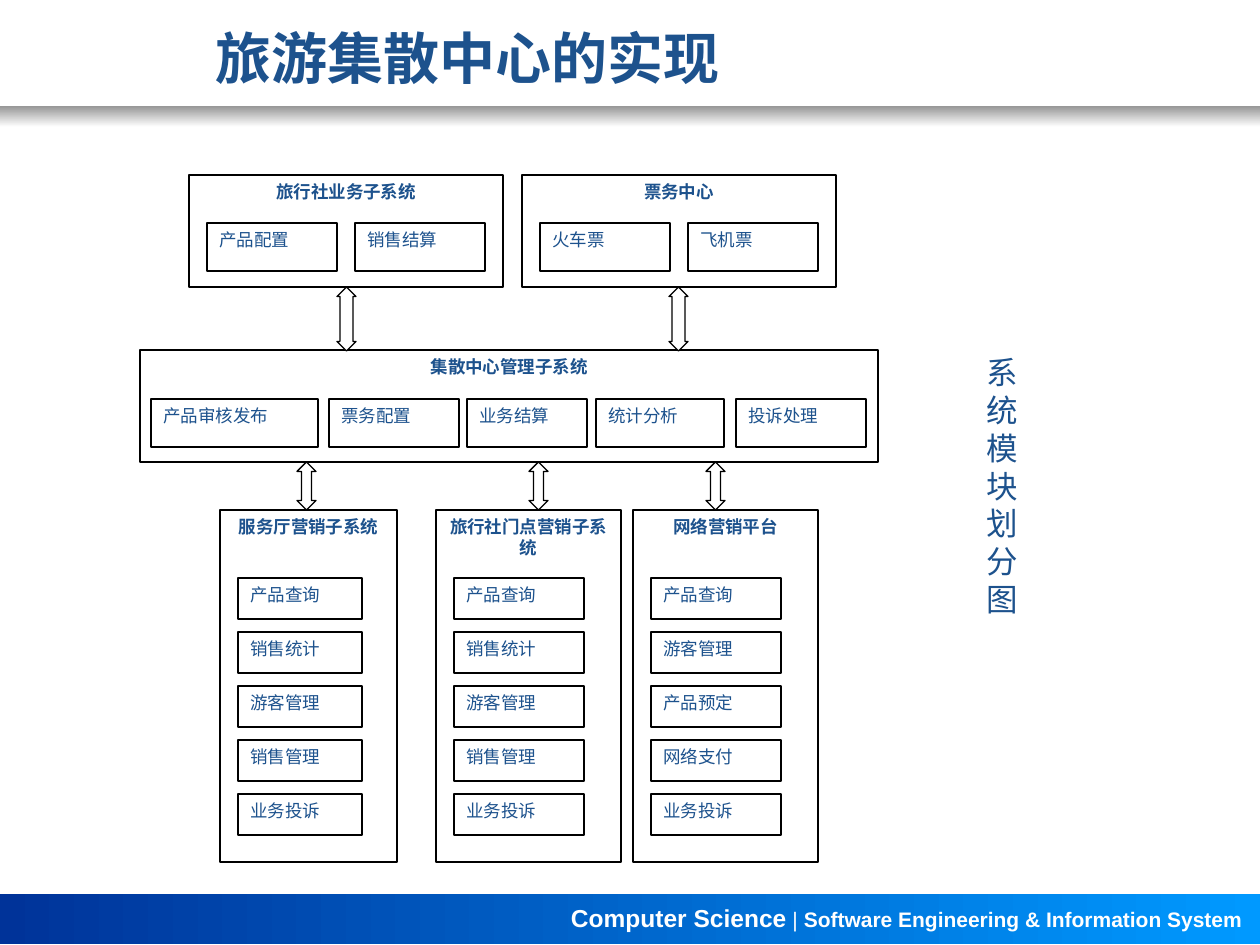
from dataclasses import dataclass

import pptx
import pptx.dml.color
import pptx.enum.shapes
import pptx.enum.text
import pptx.oxml.ns
import pptx.util
from lxml import etree

ALIGN = pptx.enum.text.PP_ALIGN
ANCHOR = pptx.enum.text.MSO_ANCHOR
SHAPE = pptx.enum.shapes.MSO_SHAPE


@dataclass(frozen=True)
class Theme:
    text: str = "1D528D"
    outline: str = "000000"
    paper: str = "FFFFFF"
    shade: str = "969696"
    footer_dark: str = "003399"
    footer_light: str = "0099FF"
    sans: str = "Arial"
    serif: str = "Times New Roman"
    chinese: str = "Noto Sans CJK SC"
    title_size: int = 32
    label_size: int = 18
    box_size: int = 10
    footer_large: int = 14
    footer_small: int = 12
    outline_width: float = 0.75
    line_height: float = 1.2


def px(length):
    return pptx.util.Emu(round(length * 914400 / 126))


def rgb(colour):
    return pptx.dml.color.RGBColor.from_string(colour)


class ModuleSlide:
    def __init__(self, deck, theme):
        self.theme = theme
        self.slide = deck.slides.add_slide(deck.slide_layouts[5])
        self.shapes = self.slide.shapes

    def style(self, font, size, face, colour, bold=False):
        font.size = pptx.util.Pt(size)
        font.bold = bold
        font.color.rgb = rgb(colour)
        font.name = face

    def set_text(self, frame, text, size, face, bold=False, align=ALIGN.LEFT):
        """Fill a frame with one Chinese paragraph."""
        frame.word_wrap = True
        frame.text = text
        paragraph = frame.paragraphs[0]
        paragraph.alignment = align
        paragraph.line_spacing = pptx.util.Pt(size * self.theme.line_height)
        self.style(paragraph.font, size, face, self.theme.text, bold)
        qn = pptx.oxml.ns.qn
        defaults = paragraph._p.find(f"{qn('a:pPr')}/{qn('a:defRPr')}")
        etree.SubElement(defaults, qn("a:ea"), typeface=self.theme.chinese)

    def title(self, text, left, top, width, height):
        heading = self.shapes.title
        heading.left, heading.top = px(left), px(top)
        heading.width, heading.height = px(width), px(height)
        frame = heading.text_frame
        frame.auto_size = pptx.enum.text.MSO_AUTO_SIZE.NONE
        frame.vertical_anchor = ANCHOR.MIDDLE
        self.set_text(frame, text, self.theme.title_size, self.theme.chinese, True)

    def shape(self, kind, left, top, width, height):
        added = self.shapes.add_shape(kind, px(left), px(top), px(width), px(height))
        added.shadow.inherit = False
        return added

    def gradient_band(self, top, height, start, end, angle):
        band = self.shape(SHAPE.RECTANGLE, 0, top, 1260, height)
        band.line.fill.background()
        band.fill.gradient()
        band.fill.gradient_angle = angle
        for stop, colour in zip(band.fill.gradient_stops, (start, end)):
            stop.color.rgb = rgb(colour)

    def outlined(self, kind, left, top, width, height, filled=True):
        added = self.shape(kind, left, top, width, height)
        if filled:
            added.fill.solid()
            added.fill.fore_color.rgb = rgb(self.theme.paper)
        else:
            added.fill.background()
        added.line.color.rgb = rgb(self.theme.outline)
        added.line.width = pptx.util.Pt(self.theme.outline_width)
        return added

    def box(self, text, left, top, width, height, heading=False, filled=True):
        """A subsystem frame (heading) or one of the modules inside it."""
        frame = self.outlined(SHAPE.RECTANGLE, left, top, width, height, filled).text_frame
        frame.vertical_anchor = ANCHOR.TOP
        self.set_text(frame, text, self.theme.box_size, self.theme.serif, heading,
                      ALIGN.CENTER if heading else ALIGN.JUSTIFY)

    def link(self, centre, top, height, head):
        arrow = self.outlined(SHAPE.UP_DOWN_ARROW, centre - 9, top, 19, height)
        arrow.adjustments[0] = 0.5
        arrow.adjustments[1] = head

    def label(self, text, left, top, width, height):
        added = self.shapes.add_textbox(px(left), px(top), px(width), px(height))
        self.set_text(added.text_frame, text, self.theme.label_size, self.theme.sans)

    def footer(self, parts, left, top, width, height):
        frame = self.shapes.add_textbox(px(left), px(top), px(width), px(height)).text_frame
        frame.word_wrap = True
        frame.margin_left = frame.margin_right = frame.margin_top = frame.margin_bottom = 0
        for text, size, bold in parts:
            run = frame.paragraphs[0].add_run()
            run.text = text
            self.style(run.font, size, self.theme.sans, self.theme.paper, bold)


def main():
    deck = pptx.Presentation()
    deck.slide_width, deck.slide_height = px(1260), px(945)
    theme = Theme()
    page = ModuleSlide(deck, theme)

    page.gradient_band(894, 50, theme.footer_dark, theme.footer_light, 0)
    page.gradient_band(106, 21, theme.shade, theme.paper, 270)
    page.footer([("Computer Science", theme.footer_large, True),
                 (" | ", theme.footer_small, False),
                 ("Software Engineering & Information System", theme.footer_small, True)],
                571, 903, 679, 29)
    page.title("旅游集散中心的实现", 203, 10, 1041, 95)

    inset = 18
    partners = [("旅行社业务子系统", 189, ["产品配置", "销售结算"]),
                ("票务中心", 522, ["火车票", "飞机票"])]
    for name, left, modules in partners:
        page.box(name, left, 175, 314, 112, heading=True)
        for column, module in enumerate(modules):
            page.box(module, left + inset + column * 148, 223, 130, 48)

    page.box("集散中心管理子系统", 140, 350, 738, 112, heading=True, filled=False)
    management = [("产品审核发布", 151, 167), ("票务配置", 329, 130), ("业务结算", 467, 120),
                  ("统计分析", 596, 128), ("投诉处理", 736, 130)]
    for module, left, width in management:
        page.box(module, left, 399, width, 48)

    store_modules = ["产品查询", "销售统计", "游客管理", "销售管理", "业务投诉"]
    online_modules = ["产品查询", "游客管理", "产品预定", "网络支付", "业务投诉"]
    channels = [("服务厅营销子系统", 220, 177, 124, True, store_modules),
                ("旅行社门点营销子系统", 436, 185, 130, False, store_modules),
                ("网络营销平台", 633, 185, 130, False, online_modules)]
    for name, left, width, module_width, filled, modules in channels:
        page.box(name, left, 510, width, 352, heading=True, filled=filled)
        for row, module in enumerate(modules):
            page.box(module, left + inset, 578 + row * 54, module_width, 41)

    for centre in (346, 678):
        page.link(centre, 287, 64, 0.69)
    for centre in (306, 538, 715):
        page.link(centre, 462, 48, 0.52)

    page.label("系统模块划分图", 974, 347, 52, 277)
    deck.save("out.pptx")


if __name__ == "__main__":
    main()
